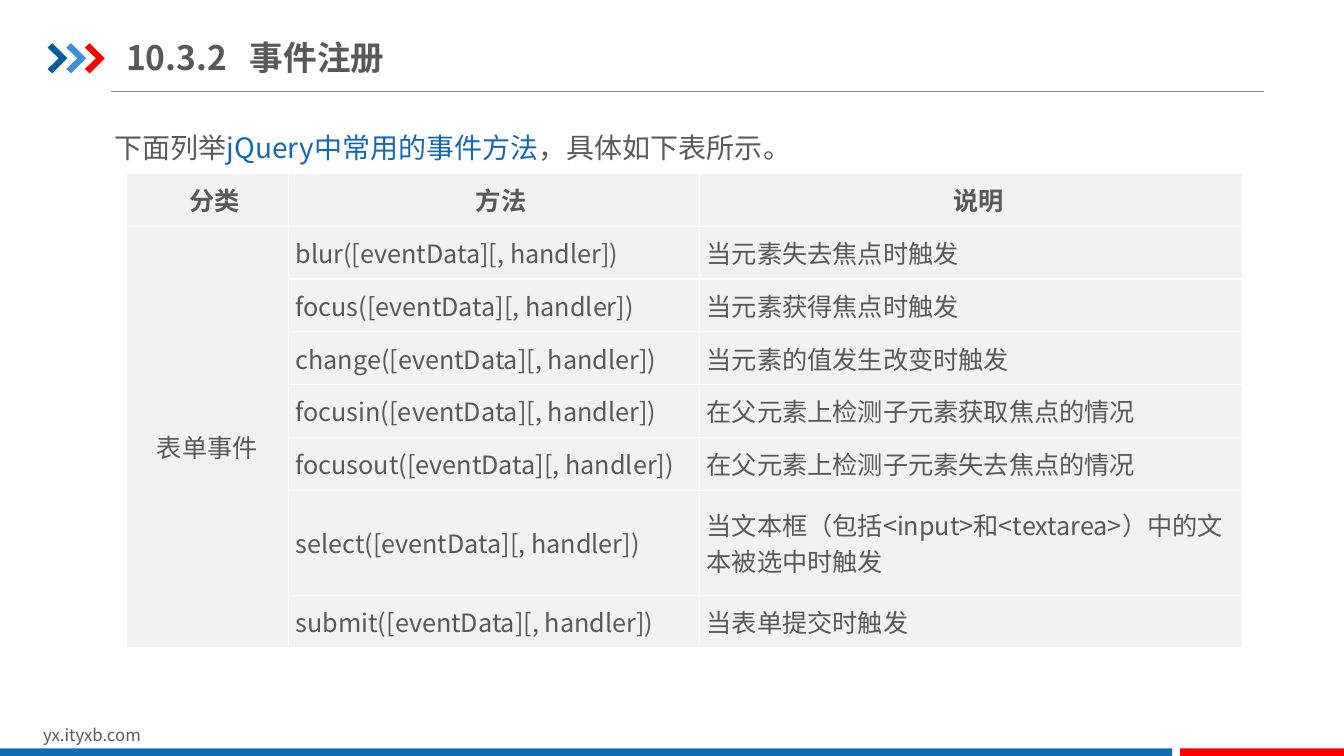
import pptx
import pptx.dml.color
import pptx.enum.shapes
import pptx.enum.text
import pptx.oxml
import pptx.oxml.ns
import pptx.util
from lxml import etree

Cm = pptx.util.Cm
Pt = pptx.util.Pt
MIDDLE = pptx.enum.text.MSO_ANCHOR.MIDDLE
FONT = "Noto Sans CJK SC"
GREY, BLUE, RED, WHITE, PALE = "595959", "1369B2", "FF0000", "FFFFFF", "F2F2F2"


def color(value):
    return pptx.dml.color.RGBColor.from_string(value)


def style(r, size, value=GREY, bold=False):
    r.font.size = Pt(size)
    r.font.name = FONT
    r.font.bold = bold
    r.font.color.rgb = color(value)
    ea = etree.SubElement(r.font._element, pptx.oxml.ns.qn("a:ea"))
    ea.set("typeface", FONT)


prs = pptx.Presentation()
prs.slide_width, prs.slide_height = Cm(33.87), Cm(19.05)
s = prs.slides.add_slide(prs.slide_layouts[6])

rule = s.shapes.add_connector(
    pptx.enum.shapes.MSO_CONNECTOR.STRAIGHT, Cm(2.8), Cm(2.31), Cm(31.86), Cm(2.31))
rule.line.color.rgb = color("808080")
rule.line.width = Pt(0.75)
etree.SubElement(rule._element.spPr, pptx.oxml.ns.qn("a:effectLst"))

chevron = [(0, 0.11), (0.12, 0), (0.5, 0.38), (0.12, 0.76), (0, 0.65), (0.28, 0.38)]
marks = []
for i, fill in enumerate(["005DA2", "3992DB", RED]):
    points = [(Cm(1.2 + 0.47 * i + x), Cm(1.09 + y)) for x, y in chevron]
    builder = s.shapes.build_freeform(*points[0])
    builder.add_line_segments(points[1:], close=True)
    marks.append((builder.convert_to_shape(), fill))
for left, width, fill in [(0, 29.54, BLUE), (29.74, 4.13, RED)]:
    bar = s.shapes.add_shape(
        pptx.enum.shapes.MSO_SHAPE.RECTANGLE, Cm(left), Cm(18.86), Cm(width), Cm(0.22))
    marks.append((bar, fill))
for sp, fill in marks:
    sp.shadow.inherit = False
    sp.fill.solid()
    sp.fill.fore_color.rgb = color(fill)
    sp.line.fill.background()

boxes = []
for left, top, width, height, size, bold, parts in [
    (0.84, 18.14, 8.08, 0.77, 12, False, [("yx.ityxb.com", GREY)]),
    (2.64, 2.74, 22.73, 1.55, 20, False,
     [("下面列举", GREY), ("jQuery中常用的事件方法", BLUE), ("，具体如下表所示。", GREY)]),
    (3.18, 0.74, 10.82, 1.4, 24, True, [("10.3.2\t事件注册", GREY)]),
]:
    sp = s.shapes.add_textbox(Cm(left), Cm(top), Cm(width), Cm(height))
    tf = sp.text_frame
    tf.word_wrap = True
    for text, value in parts:
        r = tf.paragraphs[0].add_run()
        r.text = text
        style(r, size, value, bold)
    boxes.append(tf)

footer, intro, title = boxes
intro.paragraphs[0].line_spacing = 1.5
title.vertical_anchor = MIDDLE
title.margin_left = title.margin_right = 0
title.margin_top = title.margin_bottom = Cm(0.18)
tabs = etree.SubElement(
    title.paragraphs[0]._p.get_or_add_pPr(), pptx.oxml.ns.qn("a:tabLst"))
etree.SubElement(tabs, pptx.oxml.ns.qn("a:tab"), pos=str(Cm(3.12)), algn="l")

events = [
    ("blur", "当元素失去焦点时触发"),
    ("focus", "当元素获得焦点时触发"),
    ("change", "当元素的值发生改变时触发"),
    ("focusin", "在父元素上检测子元素获取焦点的情况"),
    ("focusout", "在父元素上检测子元素失去焦点的情况"),
    ("select", "当文本框（包括<input>和<textarea>）中的文本被选中时触发"),
    ("submit", "当表单提交时触发"),
]
rows = [("分类", "方法", "说明")]
rows += [("", f"{name}([eventData][, handler])", note) for name, note in events]
widths = [4.09, 10.36, 13.69]
heights = [1.33] * 6 + [2.65, 1.33]

table = s.shapes.add_table(
    len(rows), len(widths), Cm(3.18), Cm(4.37), Cm(sum(widths)), Cm(sum(heights))).table
for column, width in zip(table.columns, widths):
    column.width = Cm(width)
for row, height in zip(table.rows, heights):
    row.height = Cm(height)
table.cell(1, 0).merge(table.cell(7, 0))

for i, row in enumerate(rows):
    for j, text in enumerate(row):
        cell = table.cell(i, j)
        cell.margin_left = cell.margin_right = Cm(0.18)
        cell.margin_top = cell.margin_bottom = 0
        cell.vertical_anchor = MIDDLE
        tcPr = cell._tc.get_or_add_tcPr()
        for side in "LRTB":
            tcPr.append(pptx.oxml.parse_xml(
                f'<a:ln{side} {pptx.oxml.ns.nsdecls("a")} w="{Pt(1)}"><a:solidFill>'
                f'<a:srgbClr val="{WHITE}"/></a:solidFill></a:ln{side}>'))
        cell.fill.solid()
        cell.fill.fore_color.rgb = color(PALE)
        p = cell.text_frame.paragraphs[0]
        if (i, j) == (1, 0):
            text = "表单事件"
            p.line_spacing = 1.5
        if i == 0 or j == 0:
            p.alignment = pptx.enum.text.PP_ALIGN.CENTER
        if i == 0:
            p._p.get_or_add_pPr().set("indent", str(Cm(0.36)))
        if text:
            p.text = text
            style(p.runs[0], 18, GREY, i == 0)

prs.save("out.pptx")
